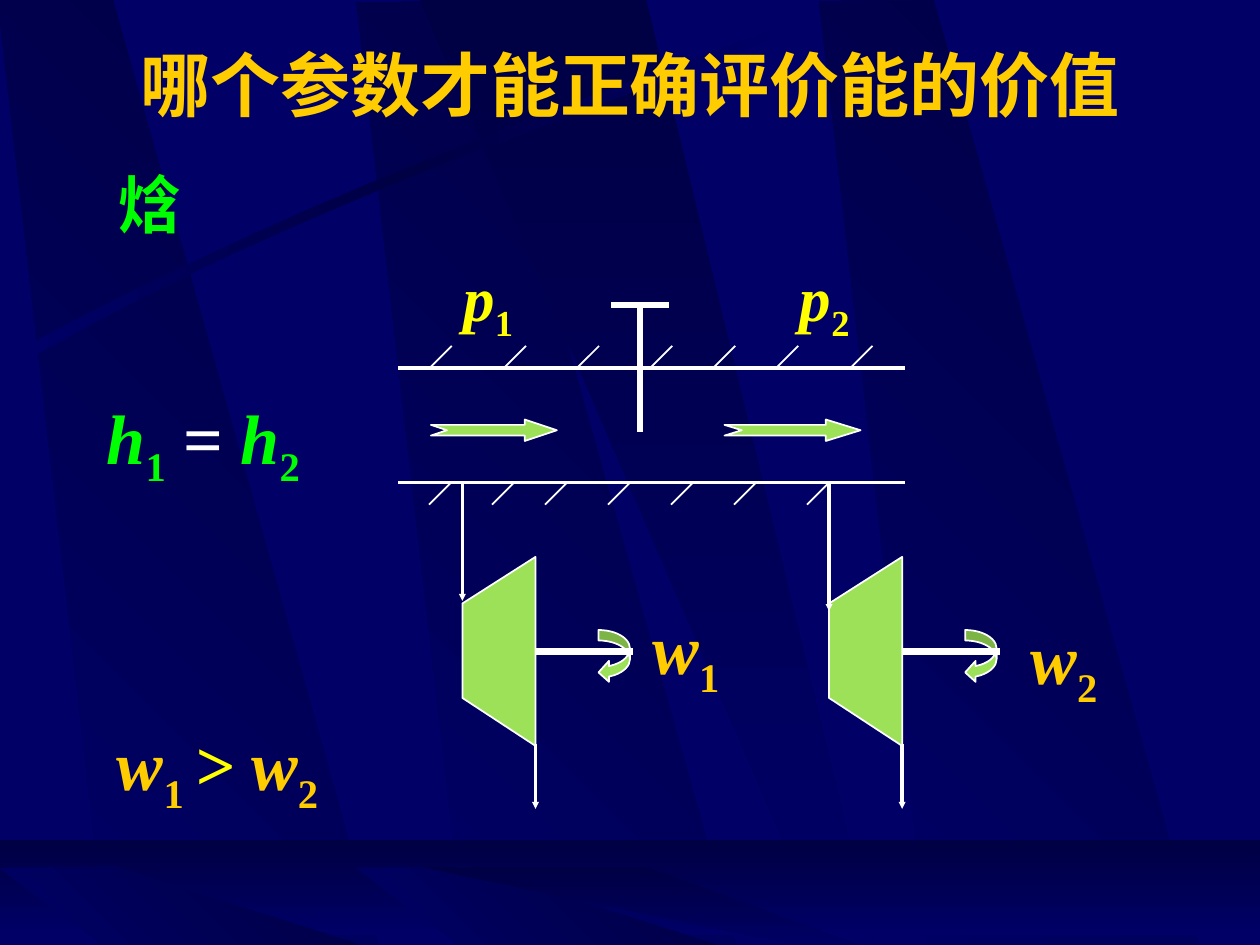
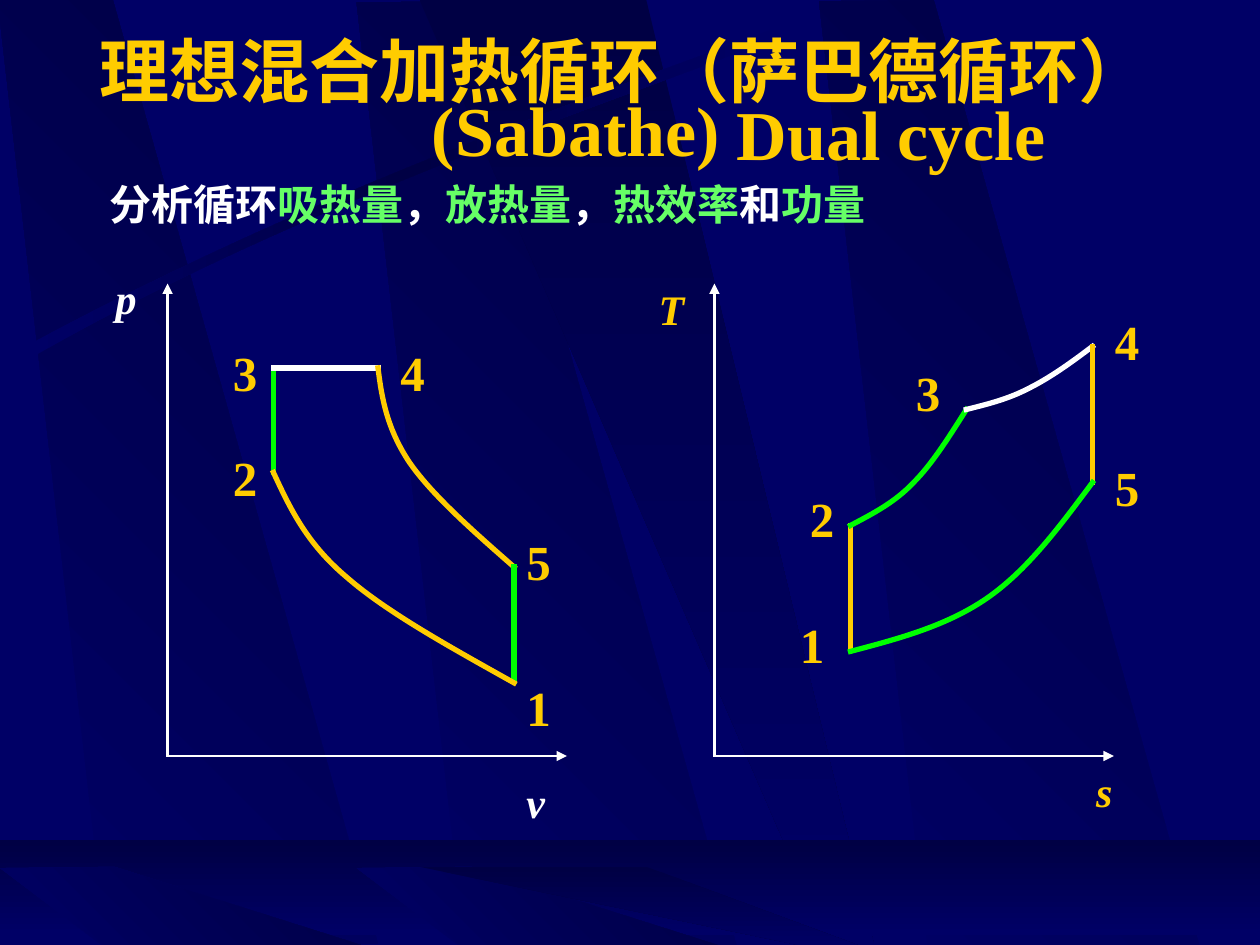
from copy import deepcopy

from lxml import etree
from pptx import Presentation
from pptx.dml.color import RGBColor
from pptx.enum.shapes import MSO_CONNECTOR, MSO_SHAPE
from pptx.enum.text import MSO_ANCHOR, MSO_AUTO_SIZE, PP_ALIGN
from pptx.oxml.ns import qn
from pptx.util import Inches, Pt

NAVY = RGBColor(0x00, 0x00, 0x66)
DARK = RGBColor(0x00, 0x00, 0x44)
GOLD = RGBColor(0xFF, 0xCC, 0x00)
YELLOW = RGBColor(0xFF, 0xFF, 0x00)
WHITE = RGBColor(0xFF, 0xFF, 0xFF)
GREEN = RGBColor(0x00, 0xFF, 0x00)
MINT = RGBColor(0x66, 0xFF, 0x66)
LIME = RGBColor(0x9C, 0xE1, 0x57)

SERIF = "Times New Roman"
SANS = "Montserrat"
LINE = MSO_CONNECTOR.STRAIGHT
RECT = MSO_SHAPE.RECTANGLE
FLOW = MSO_SHAPE.NOTCHED_RIGHT_ARROW
SPIN = MSO_SHAPE.CURVED_LEFT_ARROW
CENTER = PP_ALIGN.CENTER
MIDDLE = MSO_ANCHOR.MIDDLE
FIXED = MSO_AUTO_SIZE.NONE


def place(shape, box):
    shape.left, shape.top, shape.width, shape.height = map(Inches, box)


def outline(slide, points, close=True, bends=()):
    """Freeform; each bend is the index of a point that starts a cubic curve."""
    spots = [(Inches(x), Inches(y)) for x, y in points]
    pen = slide.shapes.build_freeform(*spots[0])
    pen.add_line_segments(spots[1:], close=close)
    shape = pen.convert_to_shape()
    shape.shadow.inherit = False
    legs = shape.element.spPr.findall(".//" + qn("a:lnTo"))
    for i in bends:
        cubic = etree.Element(qn("a:cubicBezTo"))
        legs[i].addprevious(cubic)
        for leg in legs[i:i + 3]:
            cubic.append(leg[0])
            leg.getparent().remove(leg)
    return shape


def paint(shape, fill, line, width):
    if fill is None:
        shape.fill.background()
    else:
        shape.fill.solid()
        shape.fill.fore_color.rgb = fill
    shape.line.color.rgb = line
    shape.line.width = Pt(width)


def square(shape):
    """Give the line square ends."""
    stroke = shape.element.spPr.find(qn("a:ln"))
    stroke.set("cap", "sq")
    return stroke


def fade(shape, angle, *colors):
    """Gradient fill with evenly spaced stops, angle clockwise."""
    shape.line.fill.background()
    shape.fill.gradient()
    stops = shape.element.spPr.find(".//" + qn("a:gsLst"))
    while len(stops) < len(colors):
        stops.append(deepcopy(stops[0]))
    for i, (stop, color) in enumerate(zip(shape.fill.gradient_stops, colors)):
        stop.color.rgb = color
        stop.position = i / (len(colors) - 1)
    shape.fill.gradient_angle = 360 - angle


def preset(slide, kind, box, adjust=()):
    shape = slide.shapes.add_shape(kind, *map(Inches, box))
    shape.shadow.inherit = False
    for i, value in enumerate(adjust):
        shape.adjustments[i] = value
    return shape


def line(slide, start, end, width, color=WHITE, head=None):
    """Straight line; head is the arrowhead size at its end."""
    link = slide.shapes.add_connector(LINE, *map(Inches, start + end))
    link.line.color.rgb = color
    link.line.width = Pt(width)
    stroke = square(link)
    if head:
        etree.SubElement(stroke, qn("a:tailEnd"), type="triangle", w=head, len=head)
    etree.SubElement(link.element.spPr, qn("a:effectLst"))


def write(para, runs, size, font=SERIF):
    """Runs are (text, colour, italic, subscript)."""
    for words, color, italic, sub in runs:
        run = para.add_run()
        run.text = words
        run.font.name = font
        run.font.size = Pt(size)
        run.font.bold = True
        run.font.italic = italic
        run.font.color.rgb = color
        if sub:
            run._r.get_or_add_rPr().set("baseline", "-25000")


def plain(words, color, italic=False):
    return (words, color, italic, False)


def term(letter, index, color):
    """A symbol in italics with its subscript."""
    return [plain(letter, color, True), (index, color, False, True)]


def text(slide, box, runs, size, wrap=True):
    frame = slide.shapes.add_textbox(*map(Inches, box)).text_frame
    frame.word_wrap = wrap
    write(frame.paragraphs[0], runs, size)


def title(slide, box, words, font):
    shape = slide.shapes.title
    place(shape, box)
    frame = shape.text_frame
    frame.auto_size = FIXED
    frame.vertical_anchor = MIDDLE
    para = frame.paragraphs[0]
    para.alignment = CENTER
    write(para, [plain(words, GOLD)], 40, font)


def body(slide, box, words):
    shape = slide.placeholders[1]
    place(shape, box)
    frame = shape.text_frame
    frame.auto_size = FIXED
    para = frame.paragraphs[0]
    props = para._p.get_or_add_pPr()
    props.set("marL", str(Inches(0.17)))
    props.set("indent", "0")
    etree.SubElement(props, qn("a:buNone"))
    para.line_spacing = 0.9
    para.space_before = Pt(0)
    write(para, [plain(words, GREEN)], 36)


def backdrop(master, slide):
    """Draw the beams and the floor band, then move them to the master."""
    master.background.fill.solid()
    master.background.fill.fore_color.rgb = NAVY
    parts = []

    def beam(points, angle, *colors, bends=()):
        shape = outline(slide, points, bends=bends)
        fade(shape, angle, *colors)
        parts.append(shape)

    def slant(x, top, foot):
        beam([(x + 0.86, foot), (x + 3.02, foot + 0.01),
              (x + 0.91, top), (x, top + 0.01)], 315, NAVY, DARK)

    def shaft(top, foot):
        beam([(3.33, top), (6.58, foot), (6.94, foot), (5.13, top)], 90, DARK, NAVY)

    for x, top in ((2.83, 0.01), (-0.02, -0.02), (6.5, 0)):
        slant(x, top, top + 7.5)
    shaft(0, 7.51)
    beam([(0.2, 2.75), (2.84, 1.34), (5.24, 0.59), (6.26, 0.18),
          (6.29, 0.24), (5.28, 0.69), (2.54, 1.51), (0.23, 2.85)],
         0, NAVY, DARK, NAVY, bends=(0, 4))
    floor = preset(slide, RECT, (0, 6.67, 10, 0.75))
    fade(floor, 90, DARK, NAVY)
    parts.append(floor)
    for x in (2.83, 0):
        slant(x, 6.88, 7.54)
    shaft(6.88, 7.55)

    tree = master.shapes.element
    for i, shape in enumerate(parts):
        tree.insert(2 + i, shape.element)


def pipe(slide):
    for y in (2.92, 3.83):
        line(slide, (3.17, y), (7.17, y), 2)
    for x in (3.58, 4.17, 4.75, 5.33, 5.83, 6.33, 6.92):
        line(slide, (x, 2.75), (x - 0.17, 2.92), 1)
    for x in (3.58, 4.08, 4.5, 5, 5.5, 6, 6.58):
        line(slide, (x, 3.83), (x - 0.17, 4), 1)
    line(slide, (5.08, 2.42), (5.08, 3.41), 3)
    line(slide, (4.87, 2.42), (5.29, 2.42), 3)
    for x, width in ((3.42, 1), (5.75, 1.08)):
        arrow = preset(slide, FLOW, (x, 3.33, width, 0.17), (0.5, width * 1.5))
        paint(arrow, LIME, WHITE, 1)


def turbine(slide, x, inlet):
    """Turbine with its left side at x; inlet is where the feed arrow ends."""
    right = x + 0.58
    spin = preset(slide, SPIN, (x + 1.08, 5, 0.25, 0.42), (0.333, 0.667, 0.333))
    paint(spin, LIME, WHITE, 1)
    line(slide, (right, 5.92), (right, 6.42), 2, head="sm")
    line(slide, (right, 5.17), (right + 0.75, 5.17), 4)
    case = outline(slide, [(right, 4.42), (x, 4.79), (x, 5.54), (right, 5.92)])
    paint(case, LIME, WHITE, 1)
    line(slide, (x, 3.83), (x, inlet), 2, head="sm")


def axes(slide, x):
    line(slide, (x, 6), (x, 2.25), 1.5, head="med")
    line(slide, (x, 6), (x + 3.17, 6), 1.5, head="med")


def trace(slide, color, *points):
    """Two joined cubic curves through seven points."""
    shape = outline(slide, points, close=False, bends=(0, 3))
    paint(shape, None, color, 3)
    square(shape)


def mark(slide, spots):
    """Number the state points from 1."""
    for i, (x, y) in enumerate(spots, 1):
        text(slide, (x, y, 0.4, 0.57), [plain(str(i), GOLD)], 28, wrap=False)


def name(slide, box, letter, color):
    text(slide, box, [plain(letter, color, True)], 24, wrap=False)


def enthalpy(slide):
    title(slide, (0.75, 0.28, 8.5, 0.77), "哪个参数才能正确评价能的价值", SERIF)
    body(slide, (0.67, 1.33, 0.92, 0.67), "焓")
    text(slide, (0.75, 3.08, 2.2, 0.9),
         term("h", "1", GREEN) + [plain(" = ", WHITE)] + term("h", "2", GREEN), 40)
    pipe(slide)
    turbine(slide, 3.67, 4.77)
    turbine(slide, 6.58, 4.85)
    text(slide, (3.58, 2, 0.75, 0.58), term("p", "1", YELLOW), 36)
    text(slide, (6.25, 2, 1, 0.58), term("p", "2", YELLOW), 36)
    text(slide, (5.08, 4.75, 1.33, 1.2), term("w", "1", GOLD), 40)
    text(slide, (8.08, 4.83, 1.48, 0.96), term("w", "2", GOLD), 40)
    text(slide, (0.83, 5.67, 2.28, 0.84),
         term("w", "1 ", GOLD) + [plain("> ", YELLOW, True)] + term("w", "2", GOLD), 40)


def volume(slide):
    """The p-v diagram."""
    axes(slide, 1.33)
    line(slide, (2.17, 2.92), (2.17, 3.75), 3, GREEN)
    line(slide, (2.17, 2.92), (3, 2.92), 3)
    trace(slide, GOLD, (3, 2.92), (3.03, 3.16), (3.07, 3.4), (3.25, 3.67),
          (3.43, 3.93), (3.76, 4.22), (4.08, 4.5))
    line(slide, (4.08, 4.5), (4.08, 5.41), 3, GREEN)
    trace(slide, GOLD, (2.17, 3.75), (2.3, 4.03), (2.43, 4.31), (2.75, 4.58),
          (3.07, 4.86), (3.58, 5.14), (4.08, 5.42))
    mark(slide, [(4.08, 5.33), (1.75, 3.5), (1.75, 2.67), (3.08, 2.67), (4.08, 4.17)])
    name(slide, (0.82, 2.11, 0.42, 0.63), "p", WHITE)
    name(slide, (4.08, 6.11, 0.4, 0.63), "v", WHITE)


def entropy(slide):
    """The T-s diagram."""
    axes(slide, 5.67)
    line(slide, (6.75, 4.17), (6.75, 5.16), 3, GOLD)
    trace(slide, GREEN, (6.75, 4.17), (6.92, 4.08), (7.1, 3.99), (7.25, 3.83),
          (7.4, 3.68), (7.53, 3.47), (7.67, 3.25))
    trace(slide, WHITE, (7.67, 3.25), (7.83, 3.21), (8, 3.17), (8.17, 3.08),
          (8.33, 3), (8.5, 2.88), (8.67, 2.75))
    line(slide, (8.67, 2.75), (8.67, 3.83), 3, GOLD)
    trace(slide, GREEN, (6.75, 5.17), (7.13, 5.07), (7.51, 4.97), (7.83, 4.75),
          (8.15, 4.53), (8.41, 4.18), (8.67, 3.83))
    mark(slide, [(6.25, 4.83), (6.33, 3.83), (7.17, 2.83), (8.75, 2.42), (8.75, 3.58)])
    name(slide, (5.13, 2.2, 0.47, 0.63), "T", GOLD)
    name(slide, (8.6, 6.03, 0.38, 0.63), "s", GOLD)


def cycle(slide):
    title(slide, (0.58, 0.17, 8.75, 0.77), "理想混合加热循环（萨巴德循环）", SANS)
    volume(slide)
    entropy(slide)
    topics = [("分析循环", WHITE), ("吸热量", MINT), ("，", WHITE), ("放热量", MINT),
              ("，", WHITE), ("热效率", MINT), ("和", WHITE), ("功量", MINT)]
    text(slide, (0.77, 1.37, 8.23, 0.63), [plain(*topic) for topic in topics], 24)
    text(slide, (5.75, 0.67, 3.13, 0.77), [plain("Dual cycle", GOLD)], 40)
    text(slide, (3.33, 0.64, 2.49, 0.77), [plain("(Sabathe)", GOLD)], 40, wrap=False)


def main():
    deck = Presentation()
    deck.slide_width, deck.slide_height = Inches(10), Inches(7.5)
    first = deck.slides.add_slide(deck.slide_layouts[1])
    backdrop(deck.slide_master, first)
    enthalpy(first)
    cycle(deck.slides.add_slide(deck.slide_layouts[5]))
    deck.save("out.pptx")


if __name__ == "__main__":
    main()
